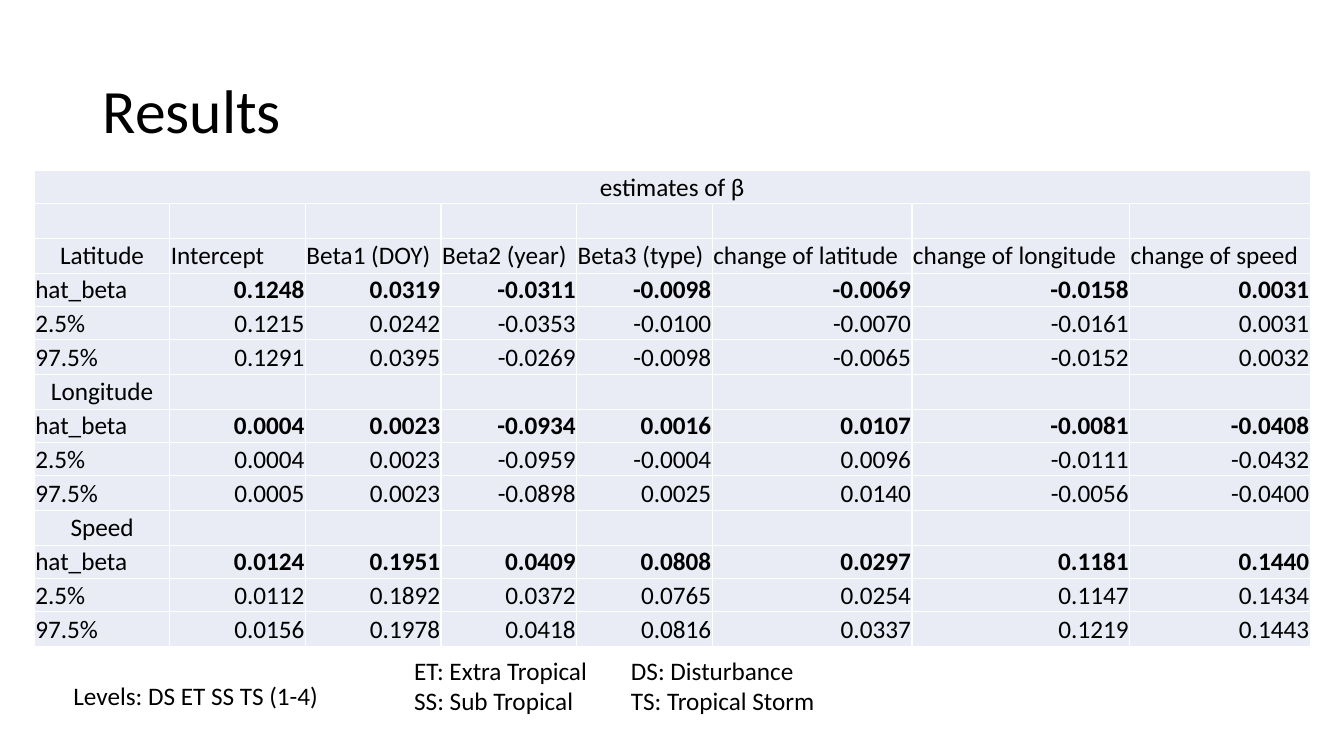
import pptx
import pptx.util
import pptx.dml.color
import pptx.enum.text
from lxml import etree
from pptx.oxml.ns import qn

PX = 4572  # EMU per px: 200 px to the inch
FONT = "Calibri"
BODY_SIZE = 18
BLACK = pptx.dml.color.RGBColor(0x00, 0x00, 0x00)
WHITE = pptx.dml.color.RGBColor(0xFF, 0xFF, 0xFF)
PALE_BLUE = pptx.dml.color.RGBColor(0xE9, 0xEB, 0xF5)

ALIGN = pptx.enum.text.PP_ALIGN
ANCHOR = pptx.enum.text.MSO_ANCHOR
AUTO_SIZE = pptx.enum.text.MSO_AUTO_SIZE

COLUMN_WIDTHS = [269] * 5 + [396, 432, 358]
CAPTION_HEIGHTS = [66, 69]
GROUP_HEIGHTS = [69, 66, 66, 69]

PREDICTORS = ["Intercept", "Beta1 (DOY)", "Beta2 (year)", "Beta3 (type)",
              "change of latitude", "change of longitude", "change of speed"]
ESTIMATE_LABELS = ["hat_beta", "2.5%", "97.5%"]
ESTIMATES = {
    "Latitude": [
        [0.1248, 0.0319, -0.0311, -0.0098, -0.0069, -0.0158, 0.0031],
        [0.1215, 0.0242, -0.0353, -0.0100, -0.0070, -0.0161, 0.0031],
        [0.1291, 0.0395, -0.0269, -0.0098, -0.0065, -0.0152, 0.0032],
    ],
    "Longitude": [
        [0.0004, 0.0023, -0.0934, 0.0016, 0.0107, -0.0081, -0.0408],
        [0.0004, 0.0023, -0.0959, -0.0004, 0.0096, -0.0111, -0.0432],
        [0.0005, 0.0023, -0.0898, 0.0025, 0.0140, -0.0056, -0.0400],
    ],
    "Speed": [
        [0.0124, 0.1951, 0.0409, 0.0808, 0.0297, 0.1181, 0.1440],
        [0.0112, 0.1892, 0.0372, 0.0765, 0.0254, 0.1147, 0.1434],
        [0.0156, 0.1978, 0.0418, 0.0816, 0.0337, 0.1219, 0.1443],
    ],
}


def px(length):
    return pptx.util.Emu(length * PX)


def add_run(paragraph, text, size=BODY_SIZE, bold=False):
    run = paragraph.add_run()
    run.text = text
    run.font.name = FONT
    run.font.size = pptx.util.Pt(size)
    run.font.bold = bold
    run.font.color.rgb = BLACK


def add_text(slide, left, top, width, height, lines, size=BODY_SIZE, wrap=True):
    box = slide.shapes.add_textbox(px(left), px(top), px(width), px(height))
    frame = box.text_frame
    frame.word_wrap = wrap
    for index, line in enumerate(lines):
        paragraph = frame.add_paragraph() if index else frame.paragraphs[0]
        add_run(paragraph, line, size)
    return frame


def add_tab_stop(paragraph, position):
    stops = etree.SubElement(paragraph._p.get_or_add_pPr(), qn("a:tabLst"))
    etree.SubElement(stops, qn("a:tab"), pos=str(px(position)), algn="l")


def style_cell(cell):
    cell.margin_left = cell.margin_right = cell.margin_top = px(2)
    cell.margin_bottom = 0
    cell.vertical_anchor = ANCHOR.MIDDLE
    properties = cell._tc.get_or_add_tcPr()
    for side in ("a:lnL", "a:lnR", "a:lnT", "a:lnB"):
        border = etree.SubElement(properties, qn(side), w=str(pptx.util.Pt(1)))
        border_fill = etree.SubElement(border, qn("a:solidFill"))
        etree.SubElement(border_fill, qn("a:srgbClr"), val=str(WHITE))
    cell.fill.solid()
    cell.fill.fore_color.rgb = PALE_BLUE


def write_cell(cell, text, align=ALIGN.LEFT, bold=False):
    paragraph = cell.text_frame.paragraphs[0]
    paragraph.alignment = align
    add_run(paragraph, text, bold=bold)


def add_estimates_table(slide, left, top):
    row_heights = CAPTION_HEIGHTS + GROUP_HEIGHTS * len(ESTIMATES)
    table = slide.shapes.add_table(
        len(row_heights), len(COLUMN_WIDTHS), px(left), px(top),
        px(sum(COLUMN_WIDTHS)), px(sum(row_heights))).table
    table.first_row = table.horz_banding = False
    for column, width in zip(table.columns, COLUMN_WIDTHS):
        column.width = px(width)
    for row, height in zip(table.rows, row_heights):
        row.height = px(height)
    for cell in table.iter_cells():
        style_cell(cell)

    # Caption and predictor names
    table.cell(0, 0).merge(table.cell(0, len(COLUMN_WIDTHS) - 1))
    write_cell(table.cell(0, 0), "estimates of β", ALIGN.CENTER)
    for column, predictor in enumerate(PREDICTORS, 1):
        write_cell(table.cell(len(CAPTION_HEIGHTS), column), predictor)

    # One group of rows per response: estimate in bold, then its interval
    for group, (response, estimates) in enumerate(ESTIMATES.items()):
        heading_row = len(CAPTION_HEIGHTS) + group * len(GROUP_HEIGHTS)
        write_cell(table.cell(heading_row, 0), response, ALIGN.CENTER)
        for offset, (label, values) in enumerate(zip(ESTIMATE_LABELS, estimates), 1):
            write_cell(table.cell(heading_row + offset, 0), label)
            for column, value in enumerate(values, 1):
                write_cell(table.cell(heading_row + offset, column),
                           f"{value:.4f}", ALIGN.RIGHT, bold=offset == 1)


def main():
    deck = pptx.Presentation()
    deck.slide_width = pptx.util.Inches(13.33)
    deck.slide_height = pptx.util.Inches(7.5)
    slide = deck.slides.add_slide(deck.slide_layouts[6])

    # Title
    title = add_text(slide, 184, 80, 2300, 290, ["Results"], size=44)
    title.vertical_anchor = ANCHOR.MIDDLE
    title.paragraphs[0].line_spacing = 0.9

    # Estimates
    add_estimates_table(slide, 68, 338)

    # Storm type levels and their abbreviations
    levels = add_text(slide, 126, 1340, 532, 80,
                      ["Levels: DS ET SS TS (1-4)"], wrap=False)
    levels.auto_size = AUTO_SIZE.SHAPE_TO_FIT_TEXT
    abbreviations = add_text(slide, 802, 1290, 912, 202,
                             ["ET: Extra Tropical\tDS: Disturbance",
                              "SS: Sub Tropical\tTS: Tropical Storm"])
    for paragraph in abbreviations.paragraphs:
        add_tab_stop(paragraph, 430)

    deck.save("out.pptx")


if __name__ == "__main__":
    main()
